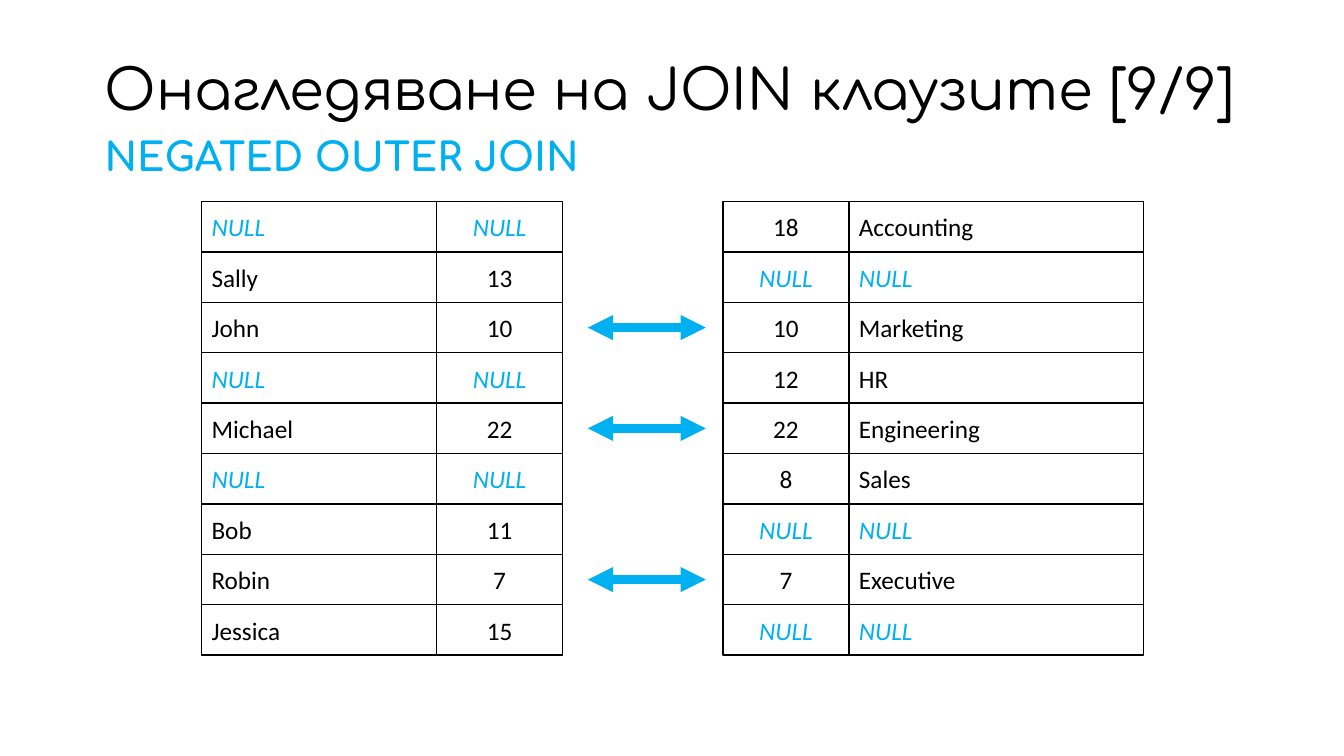
"""Builds the NEGATED OUTER JOIN slide: two columns of joined rows with arrows."""
from lxml.etree import SubElement
from pptx import Presentation
from pptx.dml.color import RGBColor
from pptx.enum.shapes import MSO_CONNECTOR, MSO_SHAPE
from pptx.enum.text import MSO_ANCHOR, PP_ALIGN
from pptx.oxml.ns import qn
from pptx.util import Inches, Pt

BLUE, BLACK = "00B0F0", "000000"


def paint(target, color):
    target.rgb = RGBColor.from_string(color)


def write(shape, text, size, font, color, anchor):
    frame = shape.text_frame
    frame.word_wrap = True
    frame.vertical_anchor = anchor
    par = frame.paragraphs[0]
    par.text = text
    par.font.size = Pt(size)
    par.font.name = font
    paint(par.font.color, color)
    return par


deck = Presentation()
deck.slide_width, deck.slide_height = Inches(13.33), Inches(7.5)
slide = deck.slides.add_slide(deck.slide_layouts[6])
shapes = slide.shapes

title = shapes.add_textbox(Inches(0.94), Inches(0.19), Inches(11.89), Inches(1.45))
par = write(title, "Онагледяване на JOIN клаузите [9/9]", 40, "Comfortaa", BLACK,
            MSO_ANCHOR.MIDDLE)
par.line_spacing = 0.9

body = shapes.add_textbox(Inches(0.94), Inches(1.32), Inches(11.5), Inches(0.6))
par = write(body, "NEGATED OUTER JOIN", 28, "Comfortaa", BLUE, MSO_ANCHOR.TOP)
par.line_spacing = 0.9
par.font.bold = True

columns = [
    (2, 2.33, PP_ALIGN.LEFT),
    (4.33, 1.25, PP_ALIGN.CENTER),
    (7.17, 1.25, PP_ALIGN.CENTER),
    (8.42, 2.92, PP_ALIGN.LEFT),
]
rows = [
    ("NULL", "NULL", "18", "Accounting"),
    ("Sally", "13", "NULL", "NULL"),
    ("John", "10", "10", "Marketing"),
    ("NULL", "NULL", "12", "HR"),
    ("Michael", "22", "22", "Engineering"),
    ("NULL", "NULL", "8", "Sales"),
    ("Bob", "11", "NULL", "NULL"),
    ("Robin", "7", "7", "Executive"),
    ("Jessica", "15", "NULL", "NULL"),
]
top, height = 2, 0.5

for index, row in enumerate(rows):
    y = top + index * height
    for text, (left, width, align) in zip(row, columns):
        cell = shapes.add_shape(MSO_SHAPE.RECTANGLE, Inches(left), Inches(y),
                                Inches(width), Inches(height))
        cell.shadow.inherit = False
        cell.fill.background()
        paint(cell.line.color, BLACK)
        cell.line.width = Pt(1)
        empty = text == "NULL"
        par = write(cell, text, 18, "Calibri", BLUE if empty else BLACK,
                    MSO_ANCHOR.MIDDLE)
        par.alignment = align
        par.font.italic = empty

    if "NULL" not in row and row[1] == row[2]:
        middle = Inches(y + height / 2)
        arrow = shapes.add_connector(MSO_CONNECTOR.STRAIGHT, Inches(5.83), middle,
                                     Inches(7), middle)
        paint(arrow.line.color, BLUE)
        arrow.line.width = Pt(6)
        for end in ("a:headEnd", "a:tailEnd"):
            SubElement(arrow.line._get_or_add_ln(), qn(end), type="triangle")
        SubElement(arrow._element.spPr, qn("a:effectLst"))

deck.save("out.pptx")
